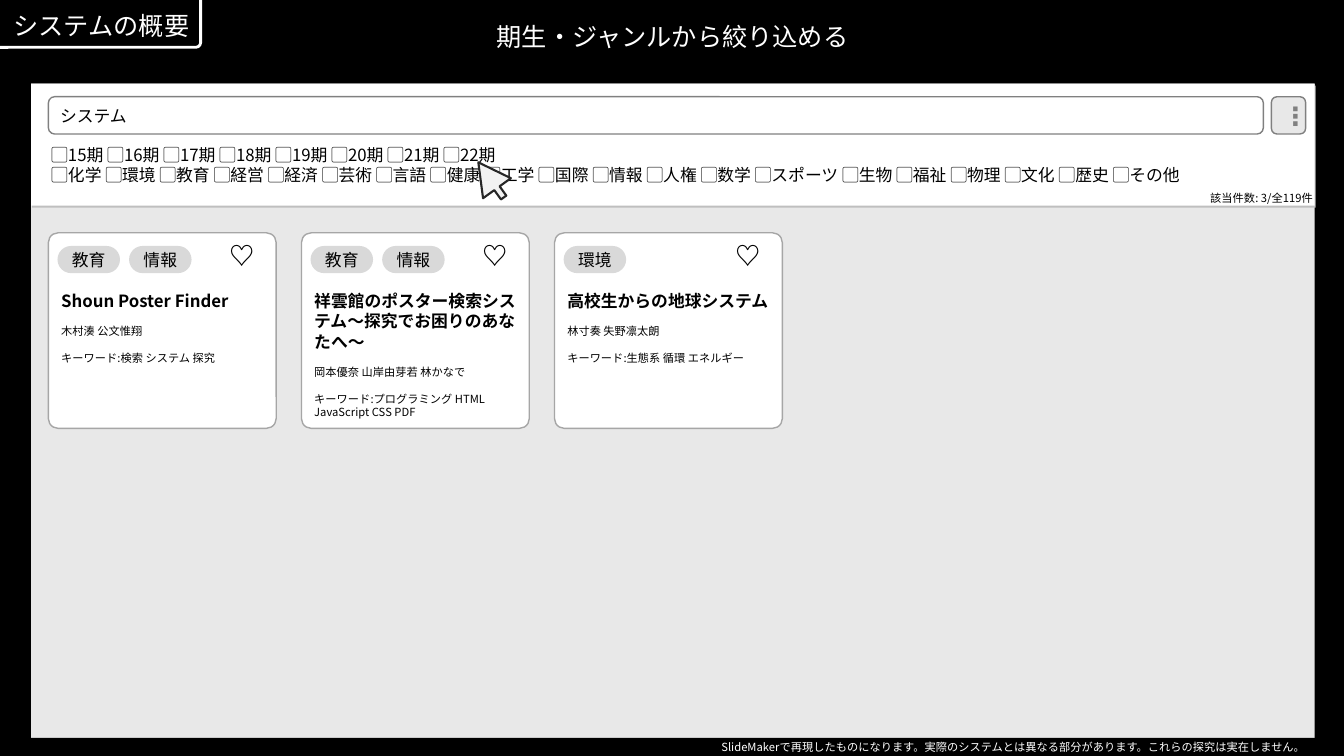
from dataclasses import dataclass

from lxml import etree
from pptx import Presentation
from pptx.dml.color import RGBColor
from pptx.enum.shapes import MSO_SHAPE
from pptx.enum.text import MSO_ANCHOR, PP_ALIGN
from pptx.oxml.ns import qn
from pptx.shapes.autoshape import Shape
from pptx.slide import Slide
from pptx.util import Inches, Pt

RECT, ROUND, UP_ARROW = MSO_SHAPE.RECTANGLE, MSO_SHAPE.ROUNDED_RECTANGLE, MSO_SHAPE.UP_ARROW
TOP, MIDDLE, BOTTOM = MSO_ANCHOR.TOP, MSO_ANCHOR.MIDDLE, MSO_ANCHOR.BOTTOM
LEFT, CENTER, RIGHT = PP_ALIGN.LEFT, PP_ALIGN.CENTER, PP_ALIGN.RIGHT

FONT = "Noto Sans CJK JP"
COLORS = {
    "black": "000000", "white": "FFFFFF", "page": "E8E8E8", "shade": "BFBFBF",
    "pill": "D9D9D9", "card_line": "A6A6A6", "field_line": "808080",
    "cursor": "F2F2F2", "cursor_line": "262626",
}
CARD_LEFT, CARD_TOP, CARD_STEP = 0.48, 2.31, 2.51
PILL_STEP = 0.71
HEART_INDENT = 1.67

TERMS = range(15, 23)
GENRES = ("化学 環境 教育 経営 経済 芸術 言語 健康 工学 国際 情報 人権 数学 "
          "スポーツ 生物 福祉 物理 文化 歴史 その他").split()


@dataclass
class Box:
    left: float
    top: float
    width: float
    height: float


@dataclass
class Style:
    size: float = 12
    color: str = "black"
    bold: bool = False
    align: PP_ALIGN = LEFT
    before: float = 0


@dataclass
class Card:
    genres: list[str]
    title: str
    authors: str
    keywords: str


CARDS = [
    Card(["教育", "情報"], "Shoun Poster Finder", "木村湊 公文惟翔", "検索 システム 探究"),
    Card(["教育", "情報"], "祥雲館のポスター検索システム～探究でお困りのあなたへ～",
         "岡本優奈 山岸由芽若 林かなで", "プログラミング HTML JavaScript CSS PDF"),
    Card(["環境"], "高校生からの地球システム", "林寸奏 失野凛太朗", "生態系 循環 エネルギー"),
]


def rgb(name: str) -> RGBColor:
    return RGBColor.from_string(COLORS[name])


def write(sp: Shape, lines: list[tuple[str, Style]], anchor: MSO_ANCHOR = TOP) -> None:
    tf = sp.text_frame
    tf.word_wrap = True
    tf.vertical_anchor = anchor
    tf.text = "\n".join(text for text, _ in lines)
    for p, (_, style) in zip(tf.paragraphs, lines):
        p.alignment = style.align
        if style.before:
            p.space_before = Pt(style.before)
        for r in p.runs:
            r.font.size = Pt(style.size)
            r.font.bold = style.bold
            r.font.name = FONT
            r.font.color.rgb = rgb(style.color)
            ea = etree.SubElement(r.font._element, qn("a:ea"))
            ea.set("typeface", FONT)


def add_text(s: Slide, box: Box, lines: list[tuple[str, Style]],
             anchor: MSO_ANCHOR = TOP) -> None:
    sp = s.shapes.add_textbox(Inches(box.left), Inches(box.top),
                              Inches(box.width), Inches(box.height))
    write(sp, lines, anchor)


def add_box(s: Slide, kind: MSO_SHAPE, box: Box, fill: str = "", line: str = "",
            line_width: float = 1, adjust: tuple[float, ...] = ()) -> Shape:
    sp = s.shapes.add_shape(kind, Inches(box.left), Inches(box.top),
                            Inches(box.width), Inches(box.height))
    sp.shadow.inherit = False
    if fill:
        sp.fill.solid()
        sp.fill.fore_color.rgb = rgb(fill)
    else:
        sp.fill.background()
    if line:
        sp.line.color.rgb = rgb(line)
        sp.line.width = Pt(line_width)
    else:
        sp.line.fill.background()
    for i, value in enumerate(adjust):
        sp.adjustments[i] = value
    return sp


def add_card(s: Slide, card: Card, left: float) -> None:
    sp = add_box(s, ROUND, Box(left, CARD_TOP, 2.26, 1.94), "white", "card_line", adjust=(0.05,))
    write(sp, [
        ("♡", Style(18, bold=True)),
        (card.title, Style(12, bold=True, before=14.4)),
        (card.authors, Style(8, before=9.6)),
        (f"キーワード:{card.keywords}", Style(8, before=9.6)),
    ])
    heart = sp.text_frame.paragraphs[0]._p.get_or_add_pPr()
    heart.set("marL", str(Inches(HEART_INDENT)))
    heart.set("indent", "0")
    for i, genre in enumerate(card.genres):
        pill = Box(left + 0.09 + i * PILL_STEP, CARD_TOP + 0.13, 0.62, 0.27)
        sp = add_box(s, ROUND, pill, "pill", adjust=(0.5,))
        write(sp, [(genre, Style(align=CENTER))], MIDDLE)


def main() -> None:
    prs = Presentation()
    prs.slide_width, prs.slide_height = Inches(13.33), Inches(7.5)
    s = prs.slides.add_slide(prs.slide_layouts[6])
    s.background.fill.solid()
    s.background.fill.fore_color.rgb = rgb("black")

    # Page and its header with a lower shade
    add_box(s, RECT, Box(0.31, 0.83, 12.73, 6.49), "page")
    add_box(s, RECT, Box(0.32, 0.85, 12.73, 1.21), "shade")
    add_box(s, RECT, Box(0.31, 0.83, 12.73, 1.21), "white")

    # Filters and hit count
    terms = " ".join(f"▢{n}期" for n in TERMS)
    genres = " ".join(f"▢{name}" for name in GENRES)
    add_text(s, Box(0.41, 1.39, 12.53, 0.5), [(terms, Style()), (genres, Style())])
    add_text(s, Box(11.76, 1.84, 1.36, 0.24),
             [("該当件数: 3/全119件", Style(8, align=RIGHT))], BOTTOM)

    # Result cards
    for i, card in enumerate(CARDS):
        add_card(s, card, CARD_LEFT + i * CARD_STEP)

    # Mouse cursor
    sp = add_box(s, UP_ARROW, Box(4.7, 1.57, 0.34, 0.43), "cursor", "cursor_line", 1.5,
                 (0.19, 0.93))
    sp.rotation = 324.2

    # Section tab
    sp = add_box(s, ROUND, Box(-0.1, -0.07, 2.09, 0.54), line="white", line_width=2,
                 adjust=(0.09,))
    write(sp, [("システムの概要", Style(18, "white", align=RIGHT))], BOTTOM)

    # Search field and menu button
    sp = add_box(s, ROUND, Box(0.48, 0.96, 12.05, 0.37), line="field_line")
    write(sp, [("システム", Style())], MIDDLE)
    sp = add_box(s, ROUND, Box(12.61, 0.96, 0.34, 0.37), "page", "field_line")
    write(sp, [("⋮", Style(18, "field_line", True, CENTER))], MIDDLE)

    # Bottom band, heading and footnote
    add_box(s, RECT, Box(0, 7.32, 13.33, 0.18), "black")
    add_text(s, Box(3.17, 0.16, 7, 0.4),
             [("期生・ジャンルから絞り込める", Style(18, "white", align=CENTER))])
    add_text(s, Box(0.3, 7.3, 12.75, 0.24),
             [("SlideMakerで再現したものになります。実際のシステムとは異なる部分があります。"
               "これらの探究は実在しません。", Style(8, "white", align=RIGHT))])

    prs.save("out.pptx")


if __name__ == "__main__":
    main()
